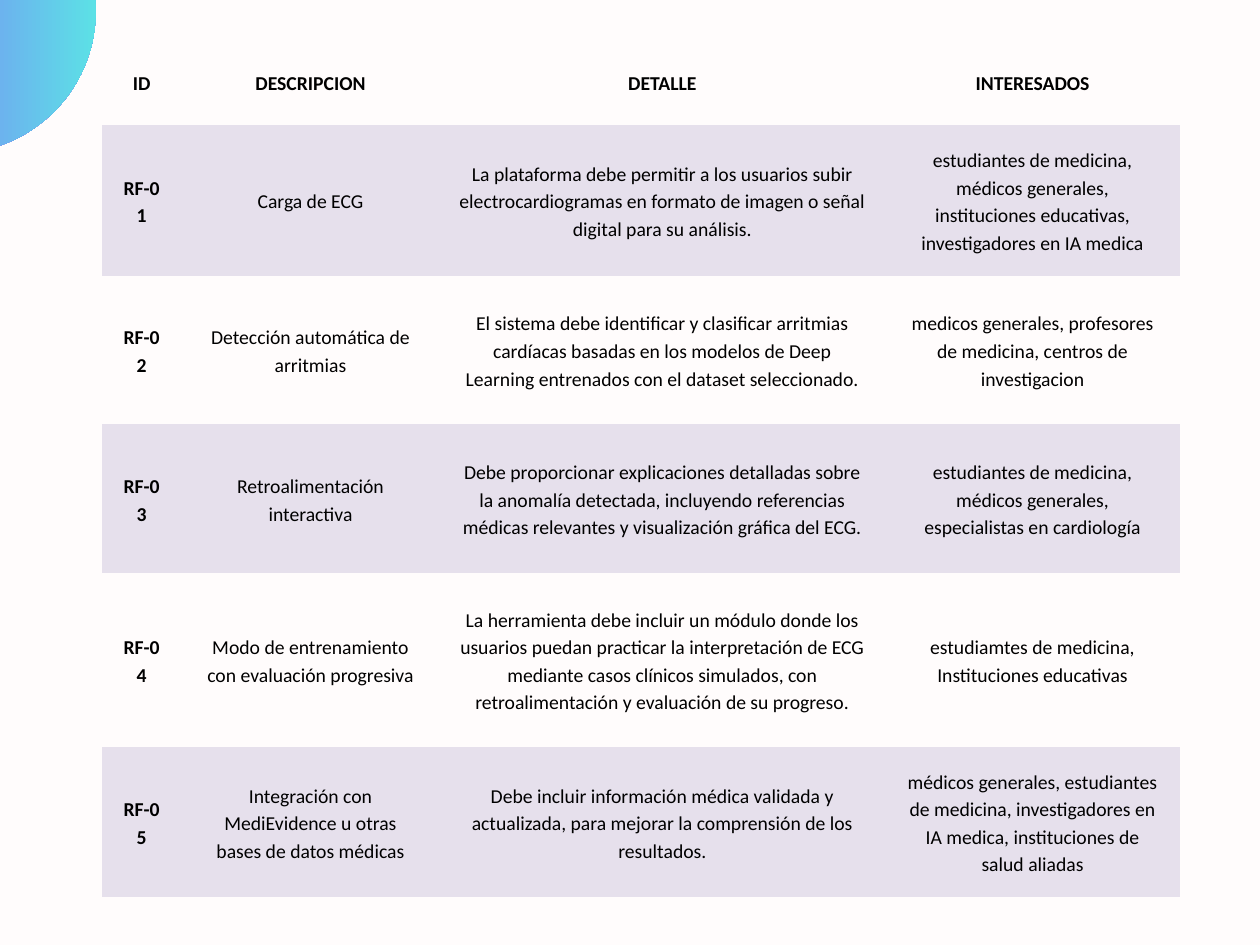
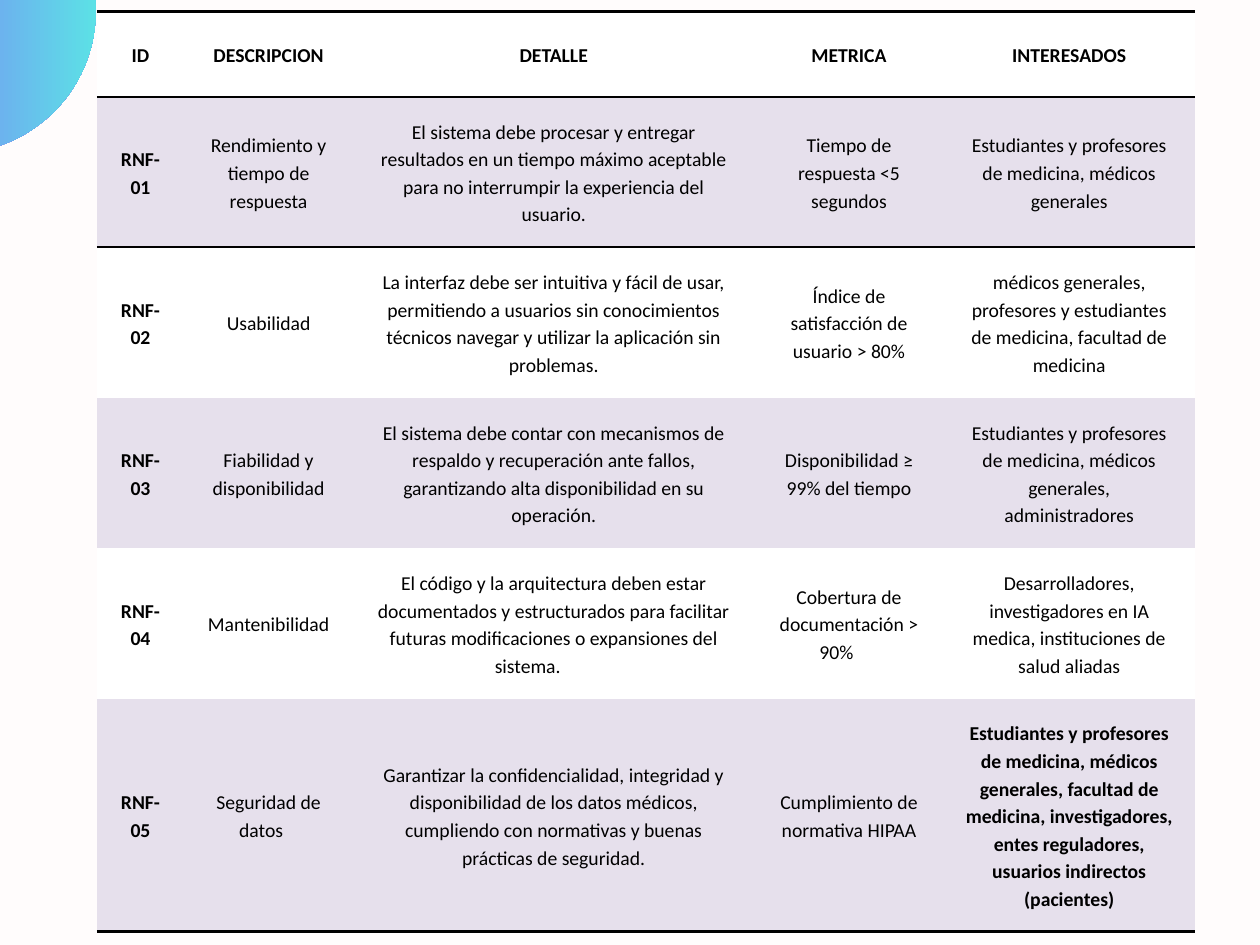
from dataclasses import dataclass

from lxml.etree import SubElement
from pptx import Presentation
from pptx.dml.color import RGBColor
from pptx.enum.shapes import MSO_SHAPE
from pptx.enum.text import MSO_ANCHOR, PP_ALIGN
from pptx.oxml.ns import qn
from pptx.util import Inches, Pt


@dataclass(frozen=True)
class Theme:
    """Colours, type and spacing shared by the slides."""

    page: str = "FFFCFC"
    text: str = "000000"
    band: str = "E6E0EC"
    plain: str = "FFFFFF"
    corner_start: str = "8C52FF"
    corner_end: str = "5CE1E6"
    font: str = "Calibri"
    size: float = 12
    line_spacing: float = 16.8
    cell_margin: float = 0.17
    outer_rule: float = 2
    inner_rule: float = 1.5
    plain_table_style: str = "{2D5ABB26-0587-4C30-8999-92F81FD0307C}"


THEME = Theme()

FUNCTIONAL = [
    ("ID", "DESCRIPCION", "DETALLE", "INTERESADOS"),
    ("RF-01", "Carga de ECG",
     "La plataforma debe permitir a los usuarios subir electrocardiogramas en formato "
     "de imagen o señal digital para su análisis.",
     "estudiantes de medicina, médicos generales, instituciones educativas, "
     "investigadores en IA medica"),
    ("RF-02", "Detección automática de arritmias",
     "El sistema debe identificar y clasificar arritmias cardíacas basadas en los modelos "
     "de Deep Learning entrenados con el dataset seleccionado.",
     "medicos generales, profesores de medicina, centros de investigacion"),
    ("RF-03", "Retroalimentación interactiva",
     "Debe proporcionar explicaciones detalladas sobre la anomalía detectada, incluyendo "
     "referencias médicas relevantes y visualización gráfica del ECG.",
     "estudiantes de medicina, médicos generales, especialistas en cardiología"),
    ("RF-04", "Modo de entrenamiento con evaluación progresiva",
     "La herramienta debe incluir un módulo donde los usuarios puedan practicar la "
     "interpretación de ECG mediante casos clínicos simulados, con retroalimentación y "
     "evaluación de su progreso.",
     "estudiamtes de medicina,\nInstituciones educativas"),
    ("RF-05", "Integración con MediEvidence u otras bases de datos médicas",
     "Debe incluir información médica validada y actualizada, para mejorar la comprensión "
     "de los resultados.",
     "médicos generales, estudiantes de medicina, investigadores en IA medica, "
     "instituciones de salud aliadas"),
]

NON_FUNCTIONAL = [
    ("ID", "DESCRIPCION", "DETALLE", "METRICA", "INTERESADOS"),
    ("RNF-01", "Rendimiento y tiempo de respuesta",
     "El sistema debe procesar y entregar resultados en un tiempo máximo aceptable para "
     "no interrumpir la experiencia del usuario.",
     "Tiempo de respuesta <5 segundos",
     "Estudiantes y profesores de medicina, médicos generales"),
    ("RNF-02", "Usabilidad",
     "La interfaz debe ser intuitiva y fácil de usar, permitiendo a usuarios sin "
     "conocimientos técnicos navegar y utilizar la aplicación sin problemas.",
     "Índice de satisfacción de usuario > 80%",
     "médicos generales, profesores y estudiantes de medicina, facultad de medicina"),
    ("RNF-03", "Fiabilidad y disponibilidad",
     "El sistema debe contar con mecanismos de respaldo y recuperación ante fallos, "
     "garantizando alta disponibilidad en su operación.",
     "Disponibilidad ≥ 99% del tiempo",
     "Estudiantes y profesores de medicina, médicos generales, administradores"),
    ("RNF-04", "Mantenibilidad",
     "El código y la arquitectura deben estar documentados y estructurados para facilitar "
     "futuras modificaciones o expansiones del sistema.\t",
     "Cobertura de documentación > 90%\t",
     "Desarrolladores, investigadores en IA medica, instituciones de salud aliadas"),
    ("RNF-05", "Seguridad de datos\t",
     "Garantizar la confidencialidad, integridad y disponibilidad de los datos médicos, "
     "cumpliendo con normativas y buenas prácticas de seguridad.",
     "Cumplimiento de normativa HIPAA",
     "Estudiantes y profesores de medicina, médicos generales, facultad de medicina, "
     "investigadores, entes reguladores, usuarios indirectos (pacientes)"),
]


def rgb(value):
    """Turn a hex string into a colour."""
    return RGBColor.from_string(value)


def add_corner_circle(slide):
    """Draw the gradient circle that runs off the top left corner."""
    circle = slide.shapes.add_shape(
        MSO_SHAPE.OVAL, Inches(-1.61), Inches(-1.11), Inches(2.42), Inches(2.41))
    circle.shadow.inherit = False
    circle.line.fill.background()
    circle.fill.gradient()
    circle.fill.gradient_angle = 0
    for stop, colour in zip(circle.fill.gradient_stops,
                            (THEME.corner_start, THEME.corner_end)):
        stop.color.rgb = rgb(colour)


def add_rule(cell, edge, width):
    """Draw a solid rule on the top (T) or bottom (B) edge of a cell."""
    rule = SubElement(cell._tc.get_or_add_tcPr(), qn(f"a:ln{edge}"), w=str(Pt(width)))
    colour = SubElement(rule, qn("a:solidFill"))
    SubElement(colour, qn("a:srgbClr"), val=THEME.text)


def fill_cell(cell, content, bold, colour):
    """Write centred text in a cell and set its fill."""
    cell.vertical_anchor = MSO_ANCHOR.MIDDLE
    cell.margin_left = cell.margin_right = Inches(THEME.cell_margin)
    cell.margin_top = cell.margin_bottom = Inches(THEME.cell_margin)
    cell.text_frame.text = content
    for paragraph in cell.text_frame.paragraphs:
        paragraph.alignment = PP_ALIGN.CENTER
        paragraph.line_spacing = Pt(THEME.line_spacing)
        paragraph.font.name = THEME.font
        paragraph.font.size = Pt(THEME.size)
        paragraph.font.bold = bold
        paragraph.font.color.rgb = rgb(THEME.text)
    if colour:
        cell.fill.solid()
        cell.fill.fore_color.rgb = rgb(colour)
    else:
        cell.fill.background()


def add_requirements(slide, requirements, left, top, widths, heights,
                     plain=None, rules=None, bold_cells=()):
    """Add a banded table; rules maps a row to its ruled edges and their widths."""
    frame = slide.shapes.add_table(
        len(heights), len(widths), Inches(left), Inches(top),
        Inches(sum(widths)), Inches(sum(heights)))
    table = frame.table
    table.horz_banding = False
    table._tbl.tblPr.find(qn("a:tableStyleId")).text = THEME.plain_table_style
    for column, width in zip(table.columns, widths):
        column.width = Inches(width)
    for row, height in zip(table.rows, heights):
        row.height = Inches(height)
    for r, requirement in enumerate(requirements):
        for c, content in enumerate(requirement):
            cell = table.cell(r, c)
            for edge, width in (rules or {}).get(r, {}).items():
                add_rule(cell, edge, width)
            bold = r == 0 or c == 0 or (r, c) in bold_cells
            fill_cell(cell, content, bold, THEME.band if r % 2 else plain)


def main():
    """Build the two requirement slides."""
    deck = Presentation()
    deck.slide_width, deck.slide_height = Inches(10.67), Inches(8)
    page = deck.slide_master.background.fill
    page.solid()
    page.fore_color.rgb = rgb(THEME.page)
    blank = deck.slide_layouts.get_by_name("Blank")

    functional = deck.slides.add_slide(blank)
    add_corner_circle(functional)
    add_requirements(functional, FUNCTIONAL, 0.86, 0.33,
                     widths=(0.68, 2.18, 3.78, 2.49),
                     heights=(0.73, 1.22, 1.26, 1.26, 1.47, 1.22))

    non_functional = deck.slides.add_slide(blank)
    add_corner_circle(non_functional)
    add_requirements(non_functional, NON_FUNCTIONAL, 0.82, 0.1,
                     widths=(0.74, 1.43, 3.4, 1.6, 2.13),
                     heights=(0.72, 1.16, 1.16, 1.16, 1.23, 1.81),
                     plain=THEME.plain,
                     rules={0: {"T": THEME.outer_rule, "B": THEME.inner_rule},
                            1: {"T": THEME.inner_rule, "B": THEME.inner_rule},
                            5: {"B": THEME.outer_rule}},
                     bold_cells={(5, 4)})

    deck.save("out.pptx")


if __name__ == "__main__":
    main()
